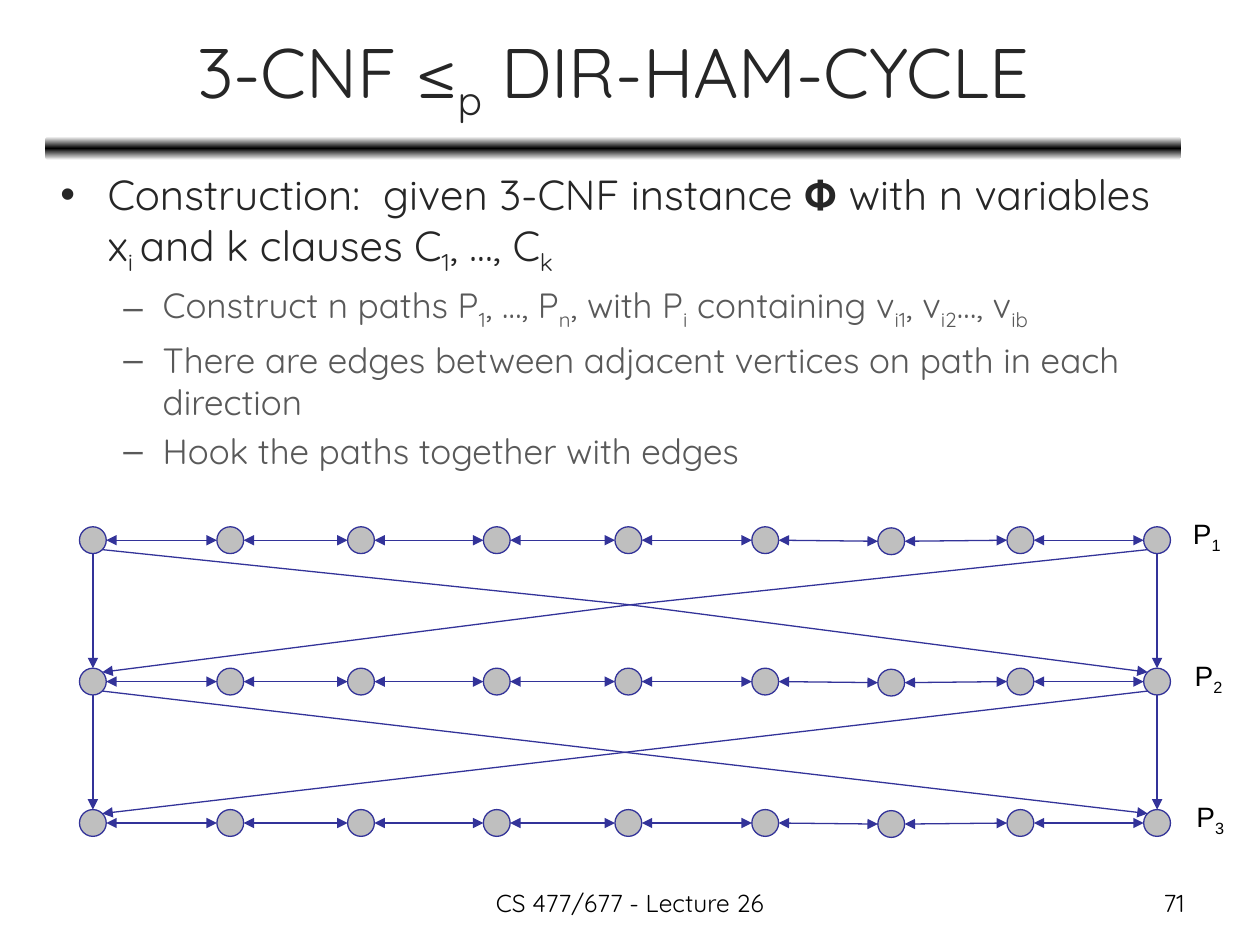
from copy import deepcopy
from itertools import pairwise

from pptx import Presentation
from pptx.dml.color import RGBColor
from pptx.enum.shapes import MSO_CONNECTOR, MSO_SHAPE
from pptx.enum.text import MSO_ANCHOR, PP_ALIGN
from pptx.oxml.ns import qn
from pptx.oxml.xmlchemy import OxmlElement
from pptx.util import Pt

EDGE = "333399"
NODE_XS = [53.1, 131.6, 206.3, 283.9, 359.1, 437.3, 509.3, 583.1, 661.2]
NODE_SIZE = 15.3
RADIUS = NODE_SIZE / 2
CORNER = 5.4
ROW_YS = [308.7 + 80.8 * row for row in range(3)]
LOWERED_NODE = 6
UPPER_CROSSING = (360, 345.6)


def color(value):
    return RGBColor.from_string(value)


def add_child(parent, tag, **attributes):
    child = OxmlElement(tag)
    for name, value in attributes.items():
        child.set(name, str(value))
    parent.append(child)


def write_runs(paragraph, marked, size, ink, font):
    # "|" switches between the baseline and subscript
    for index, part in enumerate(marked.split("|")):
        if not part:
            continue
        run = paragraph.add_run()
        run.text = part
        run.font.size = Pt(size)
        run.font.name = font
        run.font.color.rgb = color(ink)
        if index % 2:
            run.font._element.set("baseline", "-25000")


def add_text(slide, box, marked, size, ink="000000", font="Quicksand",
             align=PP_ALIGN.LEFT, anchor=MSO_ANCHOR.TOP, wrap=True):
    frame = slide.shapes.add_textbox(*map(Pt, box)).text_frame
    frame.word_wrap = wrap
    frame.vertical_anchor = anchor
    frame.paragraphs[0].alignment = align
    write_runs(frame.paragraphs[0], marked, size, ink, font)


def add_bullets(slide, box, items):
    frame = slide.shapes.add_textbox(*map(Pt, box)).text_frame
    frame.word_wrap = True
    styles = [("•", 27, -27, 24, "262626"), ("–", 58.5, -22.5, 20, "595959")]
    for index, (level, marked) in enumerate(items):
        bullet, margin, indent, size, ink = styles[level]
        paragraph = frame.add_paragraph() if index else frame.paragraphs[0]
        paragraph.level = level
        if index:
            paragraph.space_before = Pt(size * 0.2)
        properties = paragraph._p.get_or_add_pPr()
        properties.set("marL", str(Pt(margin)))
        properties.set("indent", str(Pt(indent)))
        add_child(properties, "a:buFont", typeface="Arial")
        add_child(properties, "a:buChar", char=bullet)
        write_runs(paragraph, marked, size, ink, "Quicksand")


def add_title_bar(slide, box):
    bar = slide.shapes.add_shape(MSO_SHAPE.ROUNDED_RECTANGLE, *map(Pt, box))
    bar.shadow.inherit = False
    bar.line.fill.background()
    bar.fill.gradient()
    bar.fill.gradient_angle = 90
    stop_list = bar._element.spPr.find(".//" + qn("a:gsLst"))
    stop_list.append(deepcopy(stop_list[0]))
    shades = [(0, "FFFFFF"), (0.5, "000000"), (1, "FFFFFF")]
    for stop, (position, shade) in zip(bar.fill.gradient_stops, shades):
        stop.position = position
        stop.color.rgb = color(shade)


def add_edge(slide, start, end, head=False, tail=True):
    edge = slide.shapes.add_connector(
        MSO_CONNECTOR.STRAIGHT, *map(Pt, (*start, *end)))
    edge.line.color.rgb = color(EDGE)
    edge.line.width = Pt(0.75)
    line = edge.line._get_or_add_ln()
    if head:
        add_child(line, "a:headEnd", type="triangle")
    if tail:
        add_child(line, "a:tailEnd", type="triangle")
    add_child(edge._element.spPr, "a:effectLst")


def add_node(slide, x, y):
    node = slide.shapes.add_shape(
        MSO_SHAPE.OVAL, Pt(x - RADIUS), Pt(y - RADIUS), Pt(NODE_SIZE), Pt(NODE_SIZE))
    node.shadow.inherit = False
    node.fill.solid()
    node.fill.fore_color.rgb = color("BFBFBF")
    node.line.color.rgb = color(EDGE)
    node.line.width = Pt(0.75)


def add_path(slide, y, label, label_left):
    nodes = [(x, y + 0.6 * (index == LOWERED_NODE)) for index, x in enumerate(NODE_XS)]
    for (x1, y1), (x2, y2) in pairwise(nodes):
        add_edge(slide, (x1 + RADIUS, y1), (x2 - RADIUS, y2), head=True)
    for x, node_y in nodes:
        add_node(slide, x, node_y)
    add_text(slide, (label_left, y - 17, 31.7, 26.6), label, 16, font="Arial", wrap=False)


def add_hooks(slide, upper, lower, crossing=None):
    left, right = NODE_XS[0], NODE_XS[-1]
    for x in (left, right):
        add_edge(slide, (x, upper + RADIUS), (x, lower - RADIUS))
    inner = (left + CORNER, right - CORNER)
    for start_x, end_x in (inner, inner[::-1]):
        start, end = (start_x, upper + CORNER), (end_x, lower - CORNER)
        if crossing:
            add_edge(slide, start, crossing, tail=False)
            add_edge(slide, crossing, end)
        else:
            add_edge(slide, start, end)


def main():
    deck = Presentation()
    deck.slide_width, deck.slide_height = Pt(720), Pt(540)
    slide = deck.slides.add_slide(deck.slide_layouts[6])

    add_title_bar(slide, (26, 78, 649, 13.5))
    add_text(slide, (26.5, 8, 648, 71), "3-CNF ≤|p| DIR-HAM-CYCLE", 40, "262626",
             align=PP_ALIGN.CENTER, anchor=MSO_ANCHOR.MIDDLE)
    add_bullets(slide, (27.4, 93, 648, 399.6), [
        (0, "Construction:  given 3-CNF instance 𝚽 with n variables x|i |and k clauses C|1|, …, C|k"),
        (1, "Construct n paths P|1|, …, P|n|, with P|i| containing v|i1|, v|i2|…, v|ib"),
        (1, "There are edges between adjacent vertices on path in each direction"),
        (1, "Hook the paths together with edges"),
    ])

    add_hooks(slide, *ROW_YS[:2], crossing=UPPER_CROSSING)
    add_hooks(slide, *ROW_YS[1:])
    for row, y in enumerate(ROW_YS):
        add_path(slide, y, f"P|{row + 1}", 674.6 + row)

    add_text(slide, (516, 504, 168, 25), "71", 14, align=PP_ALIGN.RIGHT)
    add_text(slide, (246, 504, 228, 25), "CS 477/677 - Lecture 26", 14, align=PP_ALIGN.CENTER)
    deck.save("out.pptx")


if __name__ == "__main__":
    main()
